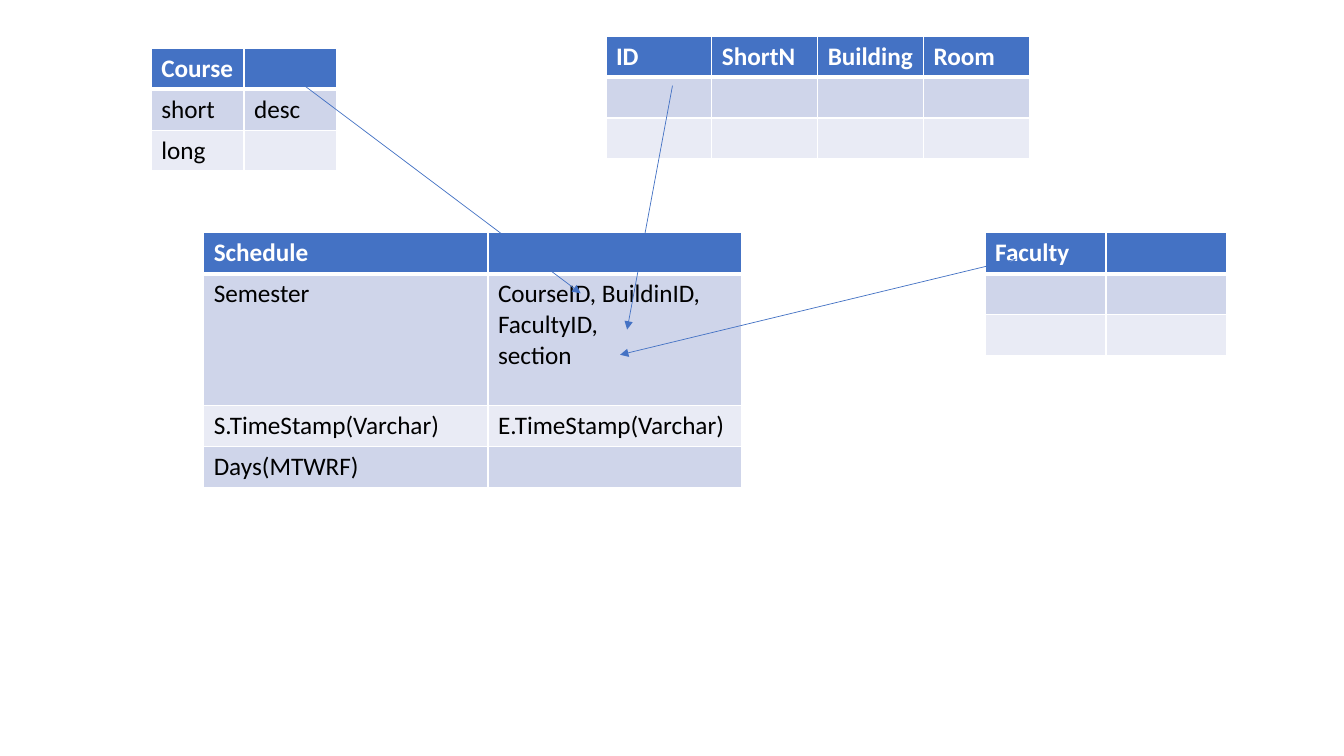
from lxml import etree
from pptx import Presentation
from pptx.dml.color import RGBColor
from pptx.enum import shapes
from pptx.oxml.ns import qn
from pptx.util import Inches, Pt

BLUE = RGBColor(0x44, 0x72, 0xC4)
BAND_DARK = RGBColor(0xCF, 0xD5, 0xEA)
BAND_LIGHT = RGBColor(0xE9, 0xEB, 0xF5)
WHITE = RGBColor(0xFF, 0xFF, 0xFF)
BLACK = RGBColor(0, 0, 0)
ROW_HEIGHT = 0.405

# left, top, column widths, row heights, rows of text
TABLES = [
    (1.5, 0.48, [0.92] * 2, [ROW_HEIGHT] * 3,
     [["Course", ""], ["short", "desc"], ["long", ""]]),
    (9.77, 2.31, [1.2] * 2, [ROW_HEIGHT] * 3,
     [["Faculty", ""], ["", ""], ["", ""]]),
    (2.02, 2.31, [2.82, 2.52], [ROW_HEIGHT, 1.31, ROW_HEIGHT, ROW_HEIGHT],
     [["Schedule", ""],
      ["Semester", "CourseID, BuildinID, FacultyID,\nsection"],
      ["S.TimeStamp(Varchar)", "E.TimeStamp(Varchar)"],
      ["Days(MTWRF)", ""]]),
    (6.01, 0.36, [1.05] * 4, [ROW_HEIGHT] * 3,
     [["ID", "ShortN", "Building", "Room"], [""] * 4, [""] * 4]),
]

KEY_ARROWS = [
    ((2.86, 0.73), (5.76, 2.91)),
    ((6.67, 0.85), (6.22, 3.27)),
    ((10.08, 2.57), (6.15, 3.52)),
]


def write_text(frame, content, color=BLACK, bold=False, size=18, font="Calibri"):
    frame.text = content
    for paragraph in frame.paragraphs:
        paragraph.font.size = Pt(size)
        for run in paragraph.runs:
            run.font.name = font
            run.font.size = Pt(size)
            run.font.bold = bold
            run.font.color.rgb = color


def set_borders(cell, top, bottom):
    """Draw white cell borders; top and bottom widths are in points."""
    properties = cell._tc.get_or_add_tcPr()
    for side, width in (("L", 1), ("R", 1), ("T", top), ("B", bottom)):
        line = etree.SubElement(properties, qn(f"a:ln{side}"), w=str(Pt(width)))
        fill = etree.SubElement(line, qn("a:solidFill"))
        etree.SubElement(fill, qn("a:srgbClr"), val=str(WHITE))


def add_entity_table(slide, left, top, widths, heights, rows):
    table = slide.shapes.add_table(
        len(rows), len(widths), Inches(left), Inches(top),
        Inches(sum(widths)), Inches(sum(heights))).table
    for column, width in zip(table.columns, widths):
        column.width = Inches(width)
    for row_index, (row, height) in enumerate(zip(rows, heights)):
        table.rows[row_index].height = Inches(height)
        header = row_index == 0
        band = BAND_DARK if row_index % 2 else BAND_LIGHT
        for column_index, content in enumerate(row):
            cell = table.cell(row_index, column_index)
            set_borders(cell, top=3 if row_index == 1 else 1,
                        bottom=3 if header else 1)
            cell.fill.solid()
            cell.fill.fore_color.rgb = BLUE if header else band
            write_text(cell.text_frame, content,
                       color=WHITE if header else BLACK, bold=header)


def add_key_arrow(slide, start, end):
    connector = slide.shapes.add_connector(
        shapes.MSO_CONNECTOR.STRAIGHT, *map(Inches, start + end))
    connector.line.color.rgb = BLUE
    connector.line.width = Pt(0.5)
    etree.SubElement(connector.line._get_or_add_ln(), qn("a:tailEnd"),
                     type="triangle")
    etree.SubElement(connector._element.spPr, qn("a:effectLst"))


def main():
    presentation = Presentation()
    presentation.slide_width = Inches(13.33)
    presentation.slide_height = Inches(7.5)
    slide = presentation.slides.add_slide(presentation.slide_layouts[6])
    for entity in TABLES:
        add_entity_table(slide, *entity)
    for start, end in KEY_ARROWS:
        add_key_arrow(slide, start, end)
    presentation.save("out.pptx")


if __name__ == "__main__":
    main()
